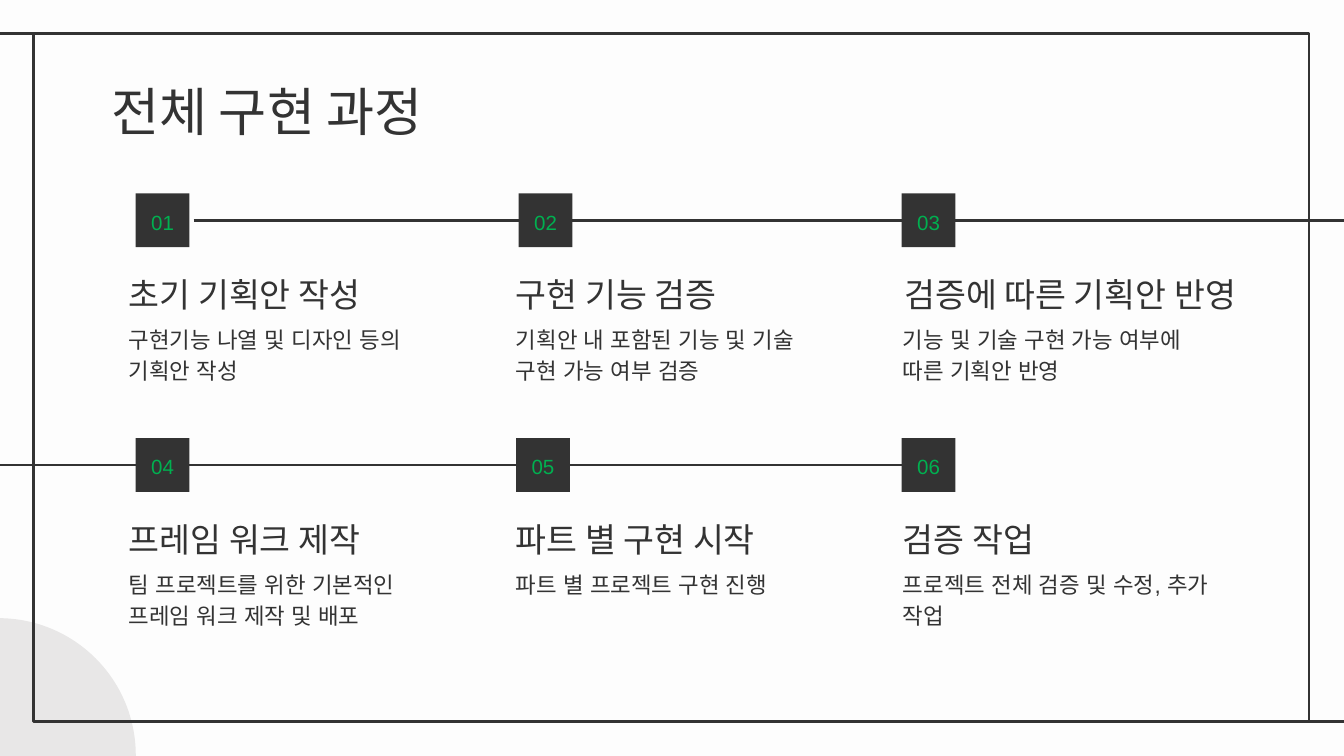
from dataclasses import dataclass

from lxml.etree import SubElement
from pptx import Presentation
from pptx.dml.color import RGBColor
from pptx.enum.shapes import MSO_CONNECTOR as Conn, MSO_SHAPE as Shape
from pptx.enum.text import MSO_ANCHOR as Anchor, PP_ALIGN as Align
from pptx.oxml.ns import qn
from pptx.util import Inches, Pt

WIDTH = 10
HEIGHT = WIDTH * 9 / 16
INK, PAPER, GREY, GREEN = "333333", "FDFDFD", "E8E7E7", "00B050"
SANS, KOREAN = "Arial", "Noto Sans CJK KR"
ROW_PITCH, TEXT_PITCH, BADGE_PITCH = 1.82, 2.88, 2.85
TEXT_LEFT, BADGE_LEFT, BADGE_TOP, BADGE = 0.86, 1.01, 1.44, 0.4


@dataclass(frozen=True)
class Box:
    """A rectangle in inches."""
    left: float
    top: float
    width: float
    height: float

    def emu(self) -> list:
        """Return the four lengths for python-pptx."""
        return [Inches(v) for v in (self.left, self.top, self.width, self.height)]


@dataclass(frozen=True)
class Style:
    """The look of one text, with the font of its Korean letters."""
    size: float
    font: str
    color: str = INK
    anchor: Anchor = Anchor.TOP
    align: Align = Align.LEFT
    spacing: float = 1.15


@dataclass(frozen=True)
class Step:
    """One step of the process."""
    heading: str
    body: str
    badge_shift: float = 0
    heading_shift: float = 0
    heading_width: float = 2.52


TITLE = Style(28, KOREAN, spacing=1)
HEADING = Style(18, KOREAN, anchor=Anchor.BOTTOM)
BODY = Style(12, SANS)
NUMBER = Style(11, SANS, GREEN, Anchor.MIDDLE, Align.CENTER)

STEPS = [
    Step("초기 기획안 작성", "구현기능 나열 및 디자인 등의 기획안 작성"),
    Step("구현 기능 검증", "기획안 내 포함된 기능 및 기술 구현 가능 여부 검증"),
    Step("검증에 따른 기획안 반영", "기능 및 기술 구현 가능 여부에 따른 기획안 반영",
         heading_shift=0.01, heading_width=3.1),
    Step("프레임 워크 제작", "팀 프로젝트를 위한 기본적인 프레임 워크 제작 및 배포"),
    Step("파트 별 구현 시작", "파트 별 프로젝트 구현 진행", badge_shift=-0.02),
    Step("검증 작업", "프로젝트 전체 검증 및 수정, 추가 작업"),
]


def rgb(color: str) -> RGBColor:
    """Turn a hex string into a colour."""
    return RGBColor.from_string(color)


def write(s, text: str, style: Style) -> None:
    """Put styled text into a shape."""
    tf = s.text_frame
    tf.text = text
    tf.word_wrap = True
    tf.vertical_anchor = style.anchor
    tf.margin_left = tf.margin_right = tf.margin_top = tf.margin_bottom = Inches(0.1)
    p = tf.paragraphs[0]
    p.alignment, p.line_spacing = style.align, style.spacing
    r = p.runs[0]
    r.font.size, r.font.name = Pt(style.size), SANS
    r.font.color.rgb = rgb(style.color)
    SubElement(r.font._element, qn("a:ea"), typeface=style.font)


def add_text(sp, box: Box, text: str, style: Style) -> None:
    """Add a text box."""
    write(sp.add_textbox(*box.emu()), text, style)


def add_shape(sp, kind: Shape, box: Box, fill: str = "", line: str = ""):
    """Add a flat preset shape."""
    s = sp.add_shape(kind, *box.emu())
    s.shadow.inherit = False
    if fill:
        s.fill.solid()
        s.fill.fore_color.rgb = rgb(fill)
    else:
        s.fill.background()
    if line:
        s.line.color.rgb = rgb(line)
        s.line.width = Pt(1.5)
    else:
        s.line.fill.background()
    return s


def add_rule(sp, start: float, end: float, y: float) -> None:
    """Add a horizontal line."""
    s = sp.add_connector(Conn.STRAIGHT, Inches(start), Inches(y), Inches(end), Inches(y))
    s.line.color.rgb = rgb(INK)
    s.line.width = Pt(1.5)
    SubElement(s._element.spPr, qn("a:effectLst"))


def add_step(sp, index: int, step: Step) -> None:
    """Draw a step in its cell of the three-column grid."""
    row, col = divmod(index, 3)
    top = BADGE_TOP + row * ROW_PITCH
    left = TEXT_LEFT + col * TEXT_PITCH
    badge_left = BADGE_LEFT + col * BADGE_PITCH + step.badge_shift
    badge = add_shape(sp, Shape.RECTANGLE, Box(badge_left, top, BADGE, BADGE), INK)
    write(badge, f"{index + 1:02}", NUMBER)
    add_text(sp, Box(left, top + 0.86, 2.52, 0.63), step.body, BODY)
    add_text(sp, Box(left + step.heading_shift, top + 0.58, step.heading_width, 0.42),
             step.heading, HEADING)


def main() -> None:
    """Build and save the slide."""
    prs = Presentation()
    prs.slide_width, prs.slide_height = Inches(WIDTH), Inches(HEIGHT)
    slide = prs.slides.add_slide(prs.slide_layouts[6])
    slide.background.fill.solid()
    slide.background.fill.fore_color.rgb = rgb(PAPER)
    sp = slide.shapes

    add_shape(sp, Shape.OVAL, Box(-1.03, 4.6, 2.04, 2.04), GREY)
    frame = Box(0.25, 0.25, 9.49, 5.12)
    add_shape(sp, Shape.RECTANGLE, frame, line=INK)
    add_rule(sp, 0, frame.left, frame.top)
    add_rule(sp, frame.left + frame.width, WIDTH, frame.top + frame.height)

    axis = BADGE_TOP + BADGE / 2
    add_rule(sp, BADGE_LEFT + BADGE + 0.03, WIDTH, axis)
    add_rule(sp, 0, BADGE_LEFT + 2 * BADGE_PITCH, axis + ROW_PITCH)

    add_text(sp, Box(0.73, 0.49, 8.43, 0.63), "전체 구현 과정", TITLE)
    for index, step in enumerate(STEPS):
        add_step(sp, index, step)
    prs.save("out.pptx")


if __name__ == "__main__":
    main()
